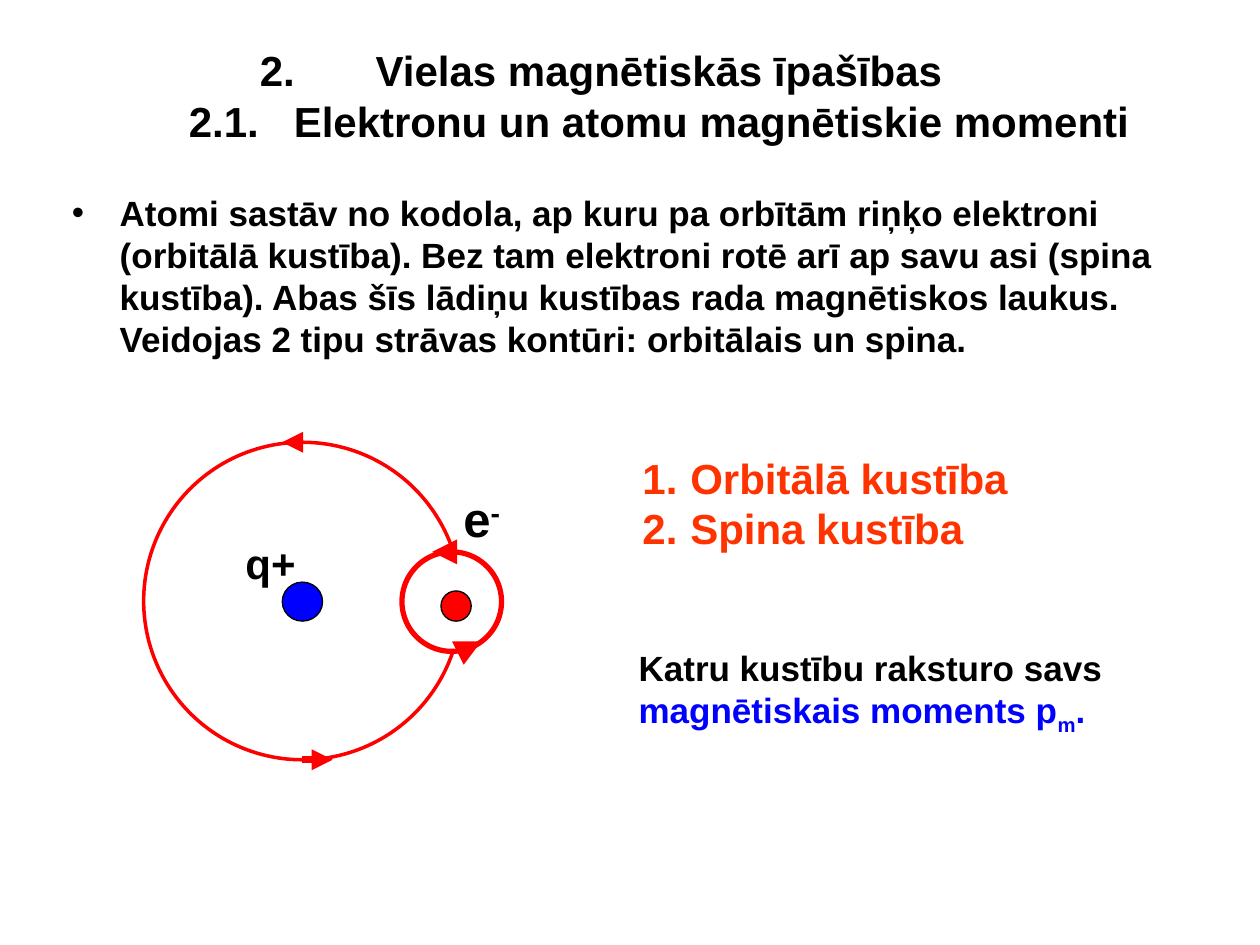
from copy import deepcopy
from lxml.etree import SubElement
from pptx import Presentation
from pptx.dml.color import RGBColor
from pptx.enum.shapes import MSO_CONNECTOR, MSO_SHAPE
from pptx.enum.text import MSO_ANCHOR, MSO_AUTO_SIZE, PP_ALIGN
from pptx.oxml.ns import qn
from pptx.util import Inches, Pt

COLORS = {"black": "000000", "white": "FFFFFF", "red": "FF0000",
          "blue": "0000FF", "orange": "FF3300"}


def rgb(name):
    return RGBColor.from_string(COLORS[name])


def add_text(p, runs, size, bullet=None, indent=0):
    """Fill a paragraph with (text, color, run attributes) after its bullet."""
    pPr = p._p.get_or_add_pPr()
    pPr.set("marL", str(Inches(indent)))
    pPr.set("indent", str(-Inches(indent)))
    if bullet:
        tag, attrs = bullet
        SubElement(pPr, qn(tag), attrs)
    p.space_before = Pt(0)
    for text, color, attrs in runs:
        r = p.add_run()
        r.text = text
        for name, value in {"name": "Arial", "size": Pt(size), "bold": True}.items():
            setattr(r.font, name, value)
        r.font.color.rgb = rgb(color)
        for name, value in attrs.items():
            r._r.get_or_add_rPr().set(name, value)


prs = Presentation()
prs.slide_width, prs.slide_height = Inches(10), Inches(7.5)
s = prs.slides.add_slide(prs.slide_layouts[1])

# Title and body
title, body = s.placeholders
for sp, box, anchor in [
    (title, (0.27, 0.36, 9, 0.79), MSO_ANCHOR.MIDDLE),
    (body, (0.47, 1.47, 9.1, 5.23), MSO_ANCHOR.TOP),
]:
    sp.left, sp.top, sp.width, sp.height = map(Inches, box)
    sp.text_frame.auto_size = MSO_AUTO_SIZE.NONE
    sp.text_frame.vertical_anchor = anchor

p = title.text_frame.paragraphs[0]
p.alignment = PP_ALIGN.CENTER
add_text(p, [("Vielas magnētiskās īpašības", "black", {})], 24,
         ("a:buAutoNum", {"type": "arabicPeriod", "startAt": "2"}), 0.92)
# The line break takes the format of the text before it
p.add_line_break()
p._p[-1].append(deepcopy(p.runs[0]._r.rPr))
wide_space = {"spc": "1333"}
for text, attrs in [("2.1.", {}), (" ", wide_space),
                    ("Elektronu un atomu magnētiskie momenti", {})]:
    add_text(p, [(text, "black", attrs)], 24, indent=0.92)

add_text(body.text_frame.paragraphs[0], [(
    "Atomi sastāv no kodola, ap kuru pa orbītām riņķo elektroni (orbitālā kustība). "
    "Bez tam elektroni rotē arī ap savu asi (spina kustība). "
    "Abas šīs lādiņu kustības rada magnētiskos laukus. "
    "Veidojas 2 tipu strāvas kontūri: orbitālais un spina.", "black", {})],
    20, ("a:buChar", {"char": "•"}), 0.38)

# Orbit, nucleus, spin loop, electron
for x, y, w, h, fill, line, width in [
    (1.14, 3.51, 2.52, 2.52, "white", "red", 2),
    (2.24, 4.62, 0.32, 0.31, "blue", "black", 0.75),
    (3.19, 4.38, 0.79, 0.79, "white", "red", 3),
    (3.5, 4.69, 0.24, 0.24, "red", "black", 0.75),
]:
    sp = s.shapes.add_shape(MSO_SHAPE.OVAL, *map(Inches, (x, y, w, h)))
    sp.shadow.inherit = False
    sp.fill.solid()
    sp.fill.fore_color.rgb = rgb(fill)
    sp.line.color.rgb = rgb(line)
    sp.line.width = Pt(width)

# Direction arrows on the orbit and the spin loop
for *ends, width in [
    (2.4, 3.51, 2.24, 3.51, 4),
    (2.4, 6.03, 2.64, 6.03, 4),
    (3.66, 5.17, 3.82, 5.09, 5),
    (3.58, 4.38, 3.43, 4.38, 4.75),
]:
    arrow = s.shapes.add_connector(MSO_CONNECTOR.STRAIGHT, *map(Inches, ends))
    arrow.line.color.rgb = rgb("red")
    arrow.line.width = Pt(width)
    SubElement(arrow.line._get_or_add_ln(), qn("a:tailEnd"), {"type": "triangle"})
    SubElement(arrow._element.spPr, qn("a:effectLst"))

# Labels and notes
number = ("a:buAutoNum", {"type": "arabicPeriod"})
for box, wrap, size, bullet, indent, paragraphs in [
    ((3.58, 3.83, 0.73, 1.04), True, 28, None, 0,
     [[("e", "black", {}), ("-", "black", {"baseline": "30000"})]]),
    ((1.85, 4.22, 0.6, 0.5), False, 24, None, 0, [[("q+", "black", {})]]),
    ((5, 3.54, 3.18, 0.9), False, 24, number, 0.38,
     [[("Orbitālā kustība", "orange", {})], [("Spina kustība", "orange", {})]]),
    ((4.97, 5.08, 3.96, 0.82), False, 20, None, 0,
     [[("Katru kustību raksturo savs", "black", {})],
      [("magnētiskais moments p", "blue", {}),
       ("m", "blue", {"baseline": "-25000"}), (".", "blue", {})]]),
]:
    tf = s.shapes.add_textbox(*map(Inches, box)).text_frame
    tf.word_wrap = wrap
    for i, runs in enumerate(paragraphs):
        p = tf.add_paragraph() if i else tf.paragraphs[0]
        add_text(p, runs, size, bullet, indent)

prs.save("out.pptx")
